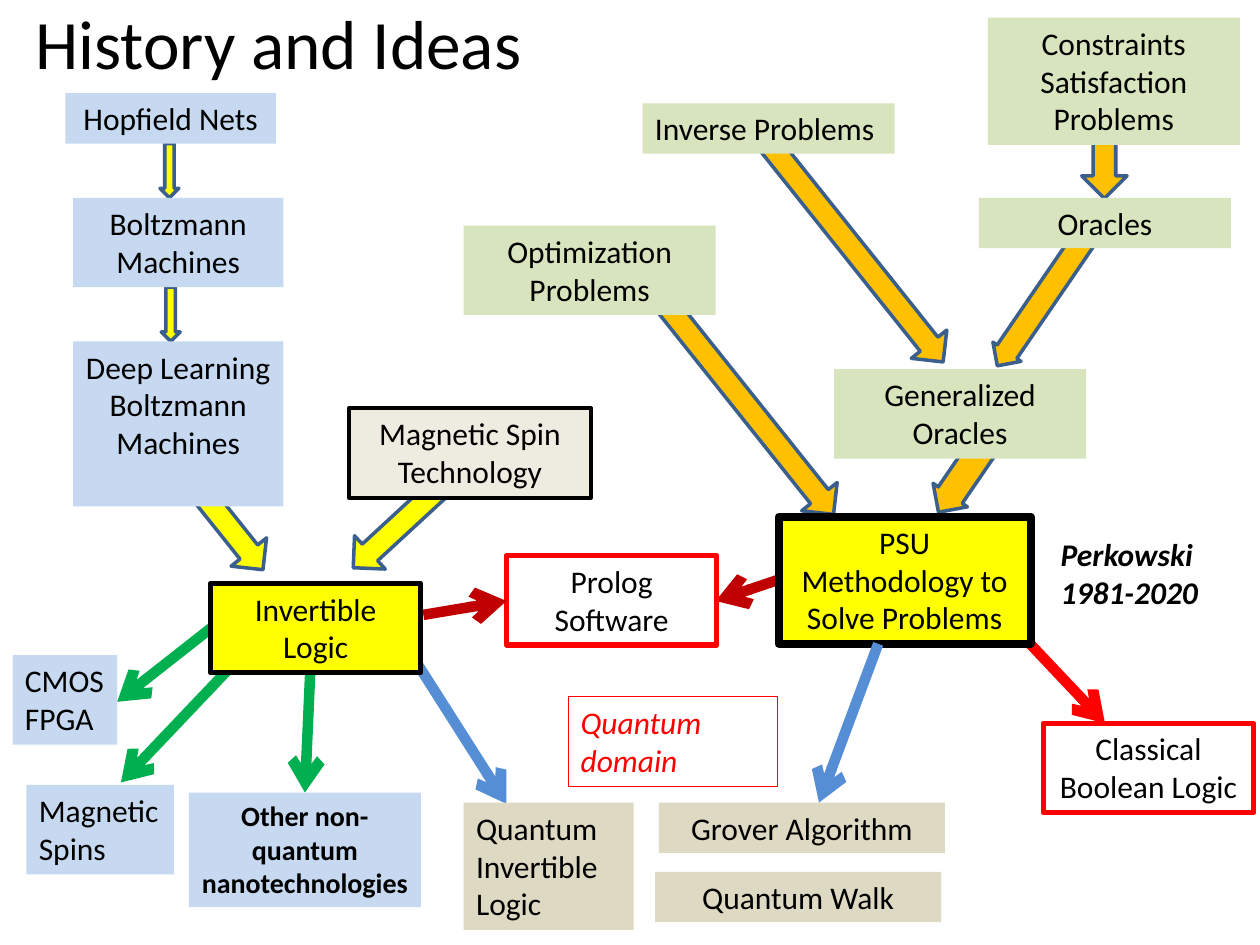
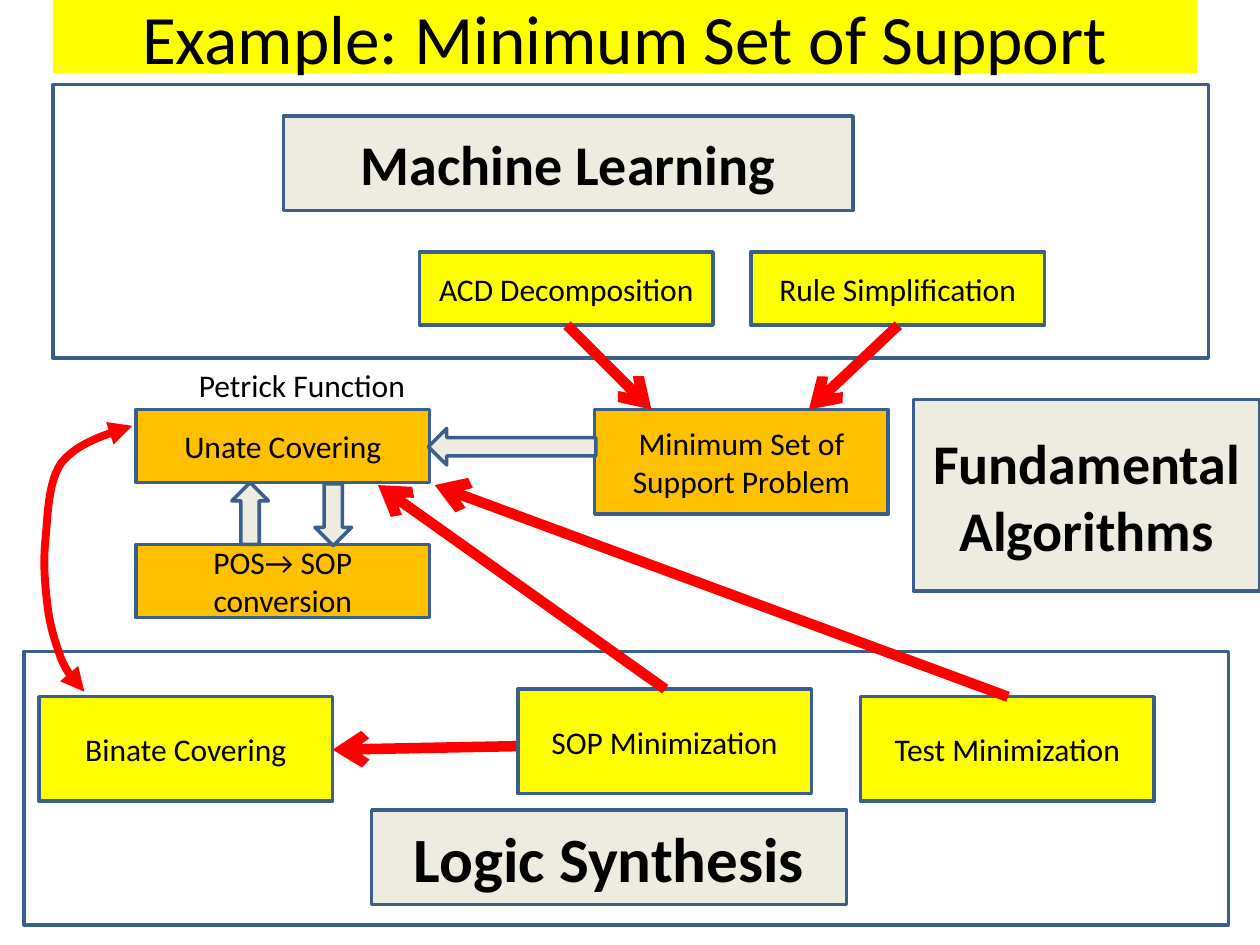
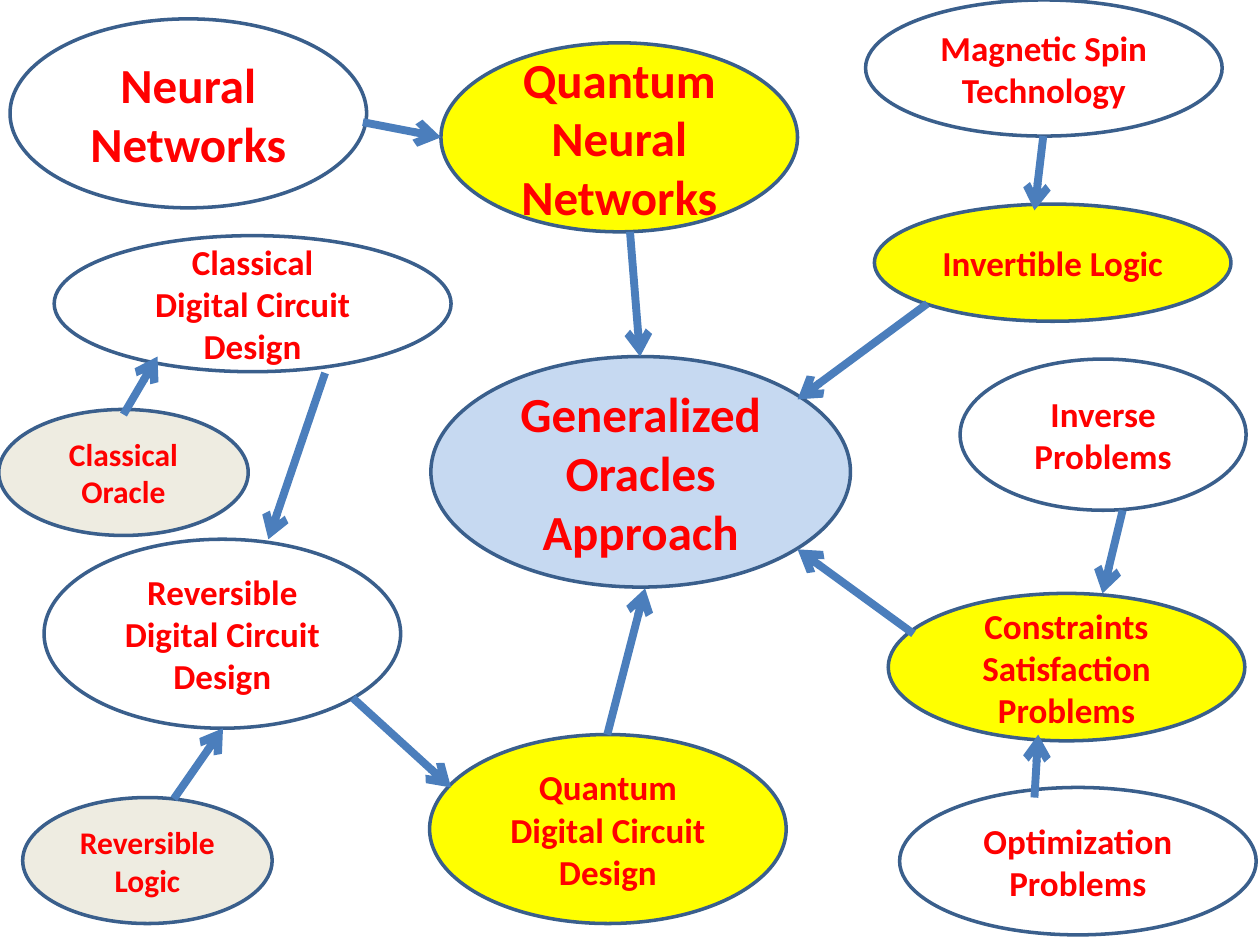
from lxml import etree
from pptx import Presentation
from pptx.dml.color import RGBColor
from pptx.enum.shapes import MSO_CONNECTOR, MSO_SHAPE
from pptx.enum.text import MSO_ANCHOR, MSO_AUTO_SIZE, PP_ALIGN
from pptx.oxml.ns import qn
from pptx.util import Inches, Pt

RECT, ELLIPSE = MSO_SHAPE.RECTANGLE, MSO_SHAPE.OVAL
RIGHT_ARROW, DOWN_ARROW = MSO_SHAPE.RIGHT_ARROW, MSO_SHAPE.DOWN_ARROW
LEFT, CENTER = PP_ALIGN.LEFT, PP_ALIGN.CENTER
TOP, MIDDLE = MSO_ANCHOR.TOP, MSO_ANCHOR.MIDDLE

FONT = "Calibri"
BLACK = RGBColor(0x00, 0x00, 0x00)
WHITE = RGBColor(0xFF, 0xFF, 0xFF)
RED = RGBColor(0xFF, 0x00, 0x00)
DARK_RED = RGBColor(0xC0, 0x00, 0x00)
YELLOW = RGBColor(0xFF, 0xFF, 0x00)
ORANGE = RGBColor(0xFF, 0xC0, 0x00)
GREEN = RGBColor(0x00, 0xB0, 0x50)
PALE_GREEN = RGBColor(0xD7, 0xE4, 0xBD)
PALE_BLUE = RGBColor(0xC6, 0xD9, 0xF1)
SKY = RGBColor(0x55, 0x8E, 0xD5)
STEEL = RGBColor(0x4B, 0x7E, 0xBC)
OUTLINE = RGBColor(0x3A, 0x5F, 0x8C)
CREAM = RGBColor(0xEE, 0xEC, 0xE1)
TAN = RGBColor(0xDD, 0xD9, 0xC3)


def box(slide, kind, at, text="", fill=None, line=None, weight=2, size=18, color=BLACK,
        bold=False, italic=False, align=CENTER, anchor=MIDDLE, rotation=0):
    """Add a preset shape, or a text box when kind is None; at is in inches."""
    place = [Inches(v) for v in at]
    if kind is None:
        sp = slide.shapes.add_textbox(*place)
    else:
        sp = slide.shapes.add_shape(kind, *place)
        sp.shadow.inherit = False
    sp.rotation = rotation
    if fill is None:
        sp.fill.background()
    else:
        sp.fill.solid()
        sp.fill.fore_color.rgb = fill
    if line is None:
        sp.line.fill.background()
    else:
        sp.line.color.rgb = line
        sp.line.width = Pt(weight)
    if text:
        tf = sp.text_frame
        tf.word_wrap = True
        tf.vertical_anchor = anchor
        tf.text = text
        for p in tf.paragraphs:
            p.alignment = align
            p.font.name, p.font.size = FONT, Pt(size)
            p.font.bold, p.font.italic = bold, italic
            p.font.color.rgb = color
    return sp


def arrow(slide, x1, y1, x2, y2, color, weight=6):
    cn = slide.shapes.add_connector(MSO_CONNECTOR.STRAIGHT, *[Inches(v) for v in (x1, y1, x2, y2)])
    cn.line.color.rgb = color
    cn.line.width = Pt(weight)
    etree.SubElement(cn.line._get_or_add_ln(), qn("a:tailEnd"), type="arrow")
    etree.SubElement(cn._element.spPr, qn("a:effectLst"))


prs = Presentation()
prs.slide_width, prs.slide_height = Inches(10), Inches(7.5)
history, support = [prs.slides.add_slide(prs.slide_layouts[5]) for _ in range(2)]
approach = prs.slides.add_slide(prs.slide_layouts[6])

for s, text, at, align in [
    (history, "History and Ideas", (0.18, 0, 4.5, 0.67), LEFT),
    (support, "Example: Minimum Set of Support", (0.42, 0, 9.08, 0.58), CENTER),
]:
    title = s.shapes.title
    title.left, title.top, title.width, title.height = [Inches(v) for v in at]
    tf = title.text_frame
    tf.text = text
    tf.auto_size = MSO_AUTO_SIZE.NONE
    tf.vertical_anchor = MIDDLE
    p = tf.paragraphs[0]
    p.alignment = align
    p.font.name, p.font.size = FONT, Pt(39.6)
    p.font.color.rgb = BLACK
support.shapes.title.fill.solid()
support.shapes.title.fill.fore_color.rgb = YELLOW

# Slide 1: history and ideas
for x1, y1, x2, y2, color in [
    (2.47, 5.16, 2.42, 6.29, GREEN),
    (1.92, 5.2, 0.96, 6.21, GREEN),
    (1.77, 4.91, 0.93, 5.57, GREEN),
    (3.18, 5.06, 4.02, 6.38, SKY),
    (6.3, 4.56, 5.68, 4.77, DARK_RED),
    (8.09, 5.02, 8.77, 5.74, RED),
]:
    arrow(history, x1, y1, x2, y2, color)

for at, rotation, fill, shaft in [
    ((7.2, 3.43, 1.14, 0.33), 124.4, ORANGE, 0.7),
    ((7.6, 2.17, 1.45, 0.27), 124.4, ORANGE, 0.7),
    ((8.09, 0.72, 1.35, 0.36), 90, ORANGE, 0.5),
    ((5.61, 1.79, 2.31, 0.36), 51.4, ORANGE, 0.5),
    ((4.74, 3, 2.31, 0.36), 51.4, ORANGE, 0.5),
    ((2.66, 3.96, 1.08, 0.36), 137.3, YELLOW, 0.5),
    ((1.21, 3.92, 1.08, 0.36), 51.4, YELLOW, 0.5),
]:
    sp = box(history, RIGHT_ARROW, at, fill=fill, line=OUTLINE, rotation=rotation)
    sp.adjustments[0] = shaft
for x, y in [(1.27, 1.14), (1.28, 2.28)]:
    box(history, DOWN_ARROW, (x, y, 0.15, 0.43), fill=YELLOW, line=OUTLINE)

for text, at, fill, align in [
    ("Hopfield Nets", (0.52, 0.74, 1.67, 0.4), PALE_BLUE, CENTER),
    ("Boltzmann Machines", (0.58, 1.57, 1.67, 0.71), PALE_BLUE, CENTER),
    ("Deep Learning Boltzmann Machines", (0.58, 2.71, 1.67, 1.31), PALE_BLUE, CENTER),
    ("Inverse Problems", (5.1, 0.82, 2, 0.4), PALE_GREEN, LEFT),
    ("Constraints Satisfaction Problems", (7.84, 0.14, 2, 1.01), PALE_GREEN, CENTER),
    ("Oracles", (7.77, 1.57, 2, 0.4), PALE_GREEN, CENTER),
    ("Generalized Oracles", (6.62, 2.93, 2, 0.71), PALE_GREEN, CENTER),
    ("Optimization Problems", (3.68, 1.79, 2, 0.71), PALE_GREEN, CENTER),
    ("Grover Algorithm", (5.23, 6.37, 2.27, 0.4), TAN, CENTER),
    ("Quantum Walk", (5.2, 6.92, 2.27, 0.4), TAN, CENTER),
    ("Quantum Invertible Logic", (3.68, 6.37, 1.35, 1.01), TAN, LEFT),
    ("CMOS\nFPGA", (0.1, 5.2, 0.83, 0.71), PALE_BLUE, LEFT),
    ("Magnetic Spins", (0.21, 6.23, 1.17, 0.71), PALE_BLUE, LEFT),
]:
    box(history, RECT, at, text, fill, align=align, anchor=TOP)
box(history, RECT, (1.5, 6.29, 1.84, 0.91), "Other non-quantum nanotechnologies", PALE_BLUE,
    size=16, bold=True, anchor=TOP)

for text, at, fill, line, weight in [
    ("Invertible Logic", (1.67, 4.63, 1.67, 0.71), YELLOW, BLACK, 3),
    ("Magnetic Spin Technology", (2.77, 3.24, 1.92, 0.71), CREAM, BLACK, 2.25),
    ("PSU Methodology to Solve Problems", (6.18, 4.1, 2, 1.01), YELLOW, BLACK, 4.5),
    ("Classical Boolean Logic", (8.28, 5.74, 1.67, 0.71), None, RED, 3),
    ("Prolog Software", (4.02, 4.41, 1.67, 0.71), None, RED, 3),
]:
    box(history, RECT, at, text, fill, line, weight, anchor=TOP)
box(history, RECT, (4.51, 5.53, 1.66, 0.71), "Quantum domain", line=RED, weight=0.75,
    color=RED, italic=True, align=LEFT, anchor=TOP)
box(history, None, (8.32, 4.2, 1.45, 0.71), "Perkowski 1981-2020", bold=True, italic=True,
    align=LEFT, anchor=TOP)
arrow(history, 6.97, 5.11, 6.5, 6.37, SKY)
arrow(history, 3.36, 4.88, 4.02, 4.77, DARK_RED)

# Slide 2: minimum set of support
arrow(support, 4.21, 5.92, 2.64, 5.95, RED)
for at in [(0.42, 0.67, 9.17, 2.17), (0.19, 5.17, 9.56, 2.17)]:
    box(support, RECT, at, line=OUTLINE)
for text, at, size in [
    ("Machine Learning", (2.25, 0.92, 4.52, 0.75), 32),
    ("Logic Synthesis", (2.95, 6.43, 3.77, 0.75), 36),
    ("Fundamental Algorithms", (7.25, 3.17, 2.75, 1.52), 32),
]:
    box(support, RECT, at, text, CREAM, OUTLINE, size=size, bold=True)
for text, x, y, height, fill in [
    ("ACD Decomposition", 3.33, 2, 0.58, YELLOW),
    ("Rule Simplification", 5.96, 2, 0.58, YELLOW),
    ("Unate Covering", 1.08, 3.25, 0.58, ORANGE),
    ("POS→ SOP conversion", 1.08, 4.32, 0.58, ORANGE),
    ("Minimum Set of Support Problem", 4.72, 3.25, 0.83, ORANGE),
    ("Binate Covering", 0.31, 5.53, 0.83, YELLOW),
    ("SOP Minimization", 4.11, 5.47, 0.83, YELLOW),
    ("Test Minimization", 6.83, 5.53, 0.83, YELLOW),
]:
    box(support, RECT, (x, y, 2.33, height), text, fill, OUTLINE)
box(support, None, (1.48, 2.86, 1.97, 0.4), "Petrick Function", align=LEFT, anchor=TOP)

for x, y, length, rotation in [(3.4, 3.4, 1.33, 180), (1.74, 3.93, 0.49, 270), (2.4, 3.94, 0.49, 90)]:
    box(support, RIGHT_ARROW, (x, y, length, 0.29), fill=CREAM, line=OUTLINE, rotation=rotation)
for ends in [(8, 5.53, 3.45, 3.85), (7.13, 2.58, 6.42, 3.25),
             (4.5, 2.58, 5.17, 3.25), (5.28, 5.47, 3, 3.85)]:
    arrow(support, *ends, RED)

# Curved link between the two covering problems: cubic Bézier spans, sampled
controls = [(0.67, 5.49), (0.6, 5.42), (0.54, 5.35), (0.49, 5.24), (0.45, 5.13), (0.4, 4.99),
            (0.38, 4.83), (0.36, 4.67), (0.34, 4.48), (0.36, 4.29), (0.38, 4.09), (0.38, 3.82),
            (0.49, 3.67), (0.61, 3.52), (0.83, 3.45), (1.05, 3.38)]
STEPS = 12
points = []
for i in range(0, len(controls) - 1, 3):
    for step in range(1, STEPS + 1):
        t = step / STEPS
        weights = ((1 - t) ** 3, 3 * t * (1 - t) ** 2, 3 * t ** 2 * (1 - t), t ** 3)
        points.append([Inches(sum(w * c[axis] for w, c in zip(weights, controls[i:i + 4])))
                       for axis in (0, 1)])
builder = support.shapes.build_freeform(*[Inches(v) for v in controls[0]])
builder.add_line_segments(points, close=False)
link = builder.convert_to_shape()
link.shadow.inherit = False
link.fill.background()
link.line.color.rgb = RED
link.line.width = Pt(4.5)
for end in ("a:headEnd", "a:tailEnd"):
    etree.SubElement(link.line._get_or_add_ln(), qn(end), type="triangle")

# Slide 3: generalized oracles approach
for text, at, fill, size in [
    ("Generalized Oracles\nApproach", (3.42, 2.83, 3.33, 1.83), PALE_BLUE, 28),
    ("Neural Networks", (0.08, 0.15, 2.83, 1.5), WHITE, 28),
    ("Quantum Neural Networks", (3.5, 0.34, 2.83, 1.5), YELLOW, 28),
    ("Classical\nDigital Circuit Design", (0.43, 1.87, 3.15, 1.08), WHITE, 20),
    ("Reversible\nDigital Circuit Design", (0.35, 4.28, 2.83, 1.5), WHITE, 20),
    ("Quantum\nDigital Circuit Design", (3.41, 5.83, 2.83, 1.5), YELLOW, 20),
    ("Magnetic Spin Technology", (6.87, 0, 2.83, 1.08), WHITE, 20),
    ("Invertible Logic", (6.94, 1.62, 2.83, 0.93), YELLOW, 20),
    ("Inverse Problems", (7.62, 2.85, 2.27, 1.2), WHITE, 20),
    ("Optimization\nProblems", (7.14, 6.25, 2.83, 1.17), WHITE, 20),
    ("Constraints Satisfaction Problems", (7.05, 4.71, 2.83, 1.17), YELLOW, 20),
    ("Reversible\nLogic", (0.18, 6.33, 1.98, 1), CREAM, 18),
    ("Classical Oracle", (-0.01, 3.25, 1.98, 1), CREAM, 18),
]:
    box(approach, ELLIPSE, at, text, fill, OUTLINE, size=size, color=RED, bold=True)

for ends in [
    (2.88, 0.97, 3.5, 1.09), (5, 1.84, 5.08, 2.83), (2.8, 5.54, 3.58, 6.25),
    (2.58, 2.96, 2.13, 4.28), (8.28, 1.08, 8.21, 1.67), (7.36, 2.41, 6.33, 3.17),
    (4.82, 5.83, 5.12, 4.67), (8.91, 4.05, 8.75, 4.71), (7.25, 5.03, 6.33, 4.36),
    (8.21, 6.33, 8.24, 5.83), (1.38, 6.34, 1.77, 5.78), (0.98, 3.29, 1.25, 2.83),
]:
    arrow(approach, *ends, STEEL, 4.5)

prs.save("out.pptx")
